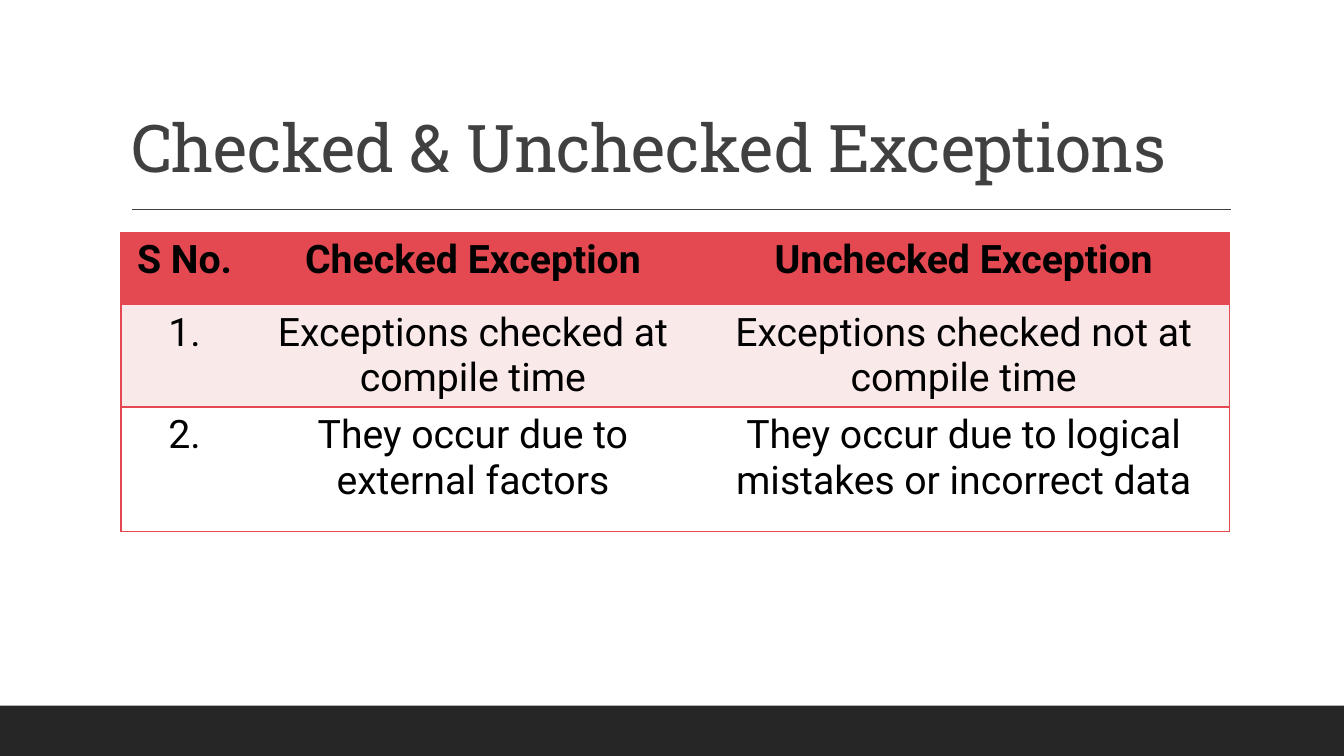
from lxml import etree
from pptx import Presentation
from pptx.dml.color import RGBColor
from pptx.enum.shapes import MSO_CONNECTOR, MSO_SHAPE
from pptx.enum.text import MSO_ANCHOR, MSO_AUTO_SIZE, PP_ALIGN
from pptx.oxml.ns import qn
from pptx.util import Pt

RECTANGLE = MSO_SHAPE.RECTANGLE
STRAIGHT = MSO_CONNECTOR.STRAIGHT
BOTTOM = MSO_ANCHOR.BOTTOM
NO_FIT = MSO_AUTO_SIZE.NONE
LEFT, CENTER = PP_ALIGN.LEFT, PP_ALIGN.CENTER

RED = RGBColor(0xE4, 0x49, 0x51)
PINK = RGBColor(0xFA, 0xE9, 0xE9)
WHITE = RGBColor(0xFF, 0xFF, 0xFF)
BLACK = RGBColor(0, 0, 0)
GRAY = RGBColor(0x40, 0x40, 0x40)
DARK = RGBColor(0x26, 0x26, 0x26)

WIDTH, HEIGHT = 960, 540
BAR_HEIGHT = 36
LEFT_EDGE, CONTENT_WIDTH = 86.4, 792
NO_STYLE = "{2D5ABB26-0587-4C30-8999-92F81FD0307C}"

COLUMNS = [90.9, 321, 380.1]
ROWS = [
    (51.7, RED, ["S No.", "Checked Exception", "Unchecked Exception"]),
    (73, PINK, ["1.", "Exceptions checked at compile time",
                "Exceptions checked not at compile time"]),
    (89, WHITE, ["2.", "They occur due to external factors",
                 "They occur due to logical mistakes or incorrect data"]),
]


class Deck:
    """Holds the slide style and adds each kind of element, measured in points."""

    heading_font = "Roboto Slab"
    body_font = "Roboto"

    def __init__(self):
        self.prs = Presentation()
        self.prs.slide_width, self.prs.slide_height = Pt(WIDTH), Pt(HEIGHT)
        self.s = self.prs.slides.add_slide(self.prs.slide_layouts[5])
        self.s.background.fill.solid()
        self.s.background.fill.fore_color.rgb = WHITE

    def format(self, p, align, font, size, color, bold=False):
        p.alignment = align
        for r in p.runs:
            r.font.name, r.font.size, r.font.bold = font, Pt(size), bold
            r.font.color.rgb = color

    def bar(self, x, y, w, h, color):
        sp = self.s.shapes.add_shape(RECTANGLE, Pt(x), Pt(y), Pt(w), Pt(h))
        sp.shadow.inherit = False
        sp.fill.solid()
        sp.fill.fore_color.rgb = color
        sp.line.fill.background()

    def rule(self, x1, x2, y, color):
        line = self.s.shapes.add_connector(STRAIGHT, Pt(x1), Pt(y), Pt(x2), Pt(y))
        line.line.color.rgb, line.line.width = color, Pt(1)
        etree.SubElement(line._element.spPr, qn("a:effectLst"))

    def title(self, text, x, y, w, h):
        sp = self.s.shapes.title
        sp.left, sp.top, sp.width, sp.height = Pt(x), Pt(y), Pt(w), Pt(h)
        tf = sp.text_frame
        tf.text = text
        tf.word_wrap, tf.auto_size, tf.vertical_anchor = True, NO_FIT, BOTTOM
        p = tf.paragraphs[0]
        p.line_spacing = 0.9
        self.format(p, LEFT, self.heading_font, 47, GRAY)
        for r in p.runs:
            r.font._element.set("spc", "-50")

    def border(self, cell, side, color):
        tc_pr = cell._tc.get_or_add_tcPr()
        ln = etree.SubElement(tc_pr, qn(f"a:ln{side}"), w=str(Pt(1)))
        fill = etree.SubElement(ln, qn("a:solidFill"))
        etree.SubElement(fill, qn("a:srgbClr"), val=str(color))

    def table(self, x, y, columns, rows):
        height = sum(h for h, _, _ in rows)
        table = self.s.shapes.add_table(
            len(rows), len(columns), Pt(x), Pt(y), Pt(sum(columns)), Pt(height)).table
        table._tbl.tblPr.find(qn("a:tableStyleId")).text = NO_STYLE
        table.horz_banding = False
        for column, w in zip(table.columns, columns):
            column.width = Pt(w)
        for i, (h, color, texts) in enumerate(rows):
            table.rows[i].height = Pt(h)
            for j, text in enumerate(texts):
                cell = table.cell(i, j)
                cell.text = text
                self.format(cell.text_frame.paragraphs[0], CENTER,
                            self.body_font, 28, BLACK, bold=i == 0)
                outer = {0: "L", len(columns) - 1: "R"}.get(j, "")
                for side in outer + "TB":
                    self.border(cell, side, RED)
                cell.fill.solid()
                cell.fill.fore_color.rgb = color


def main():
    deck = Deck()
    deck.bar(0, HEIGHT - BAR_HEIGHT, WIDTH, BAR_HEIGHT, DARK)
    deck.rule(94.3, 879, 149.5, GRAY)
    deck.title("Checked & Unchecked Exceptions", LEFT_EDGE, 22.5, CONTENT_WIDTH, 114.2)
    deck.table(LEFT_EDGE, 166, COLUMNS, ROWS)
    deck.prs.save("out.pptx")


if __name__ == "__main__":
    main()
